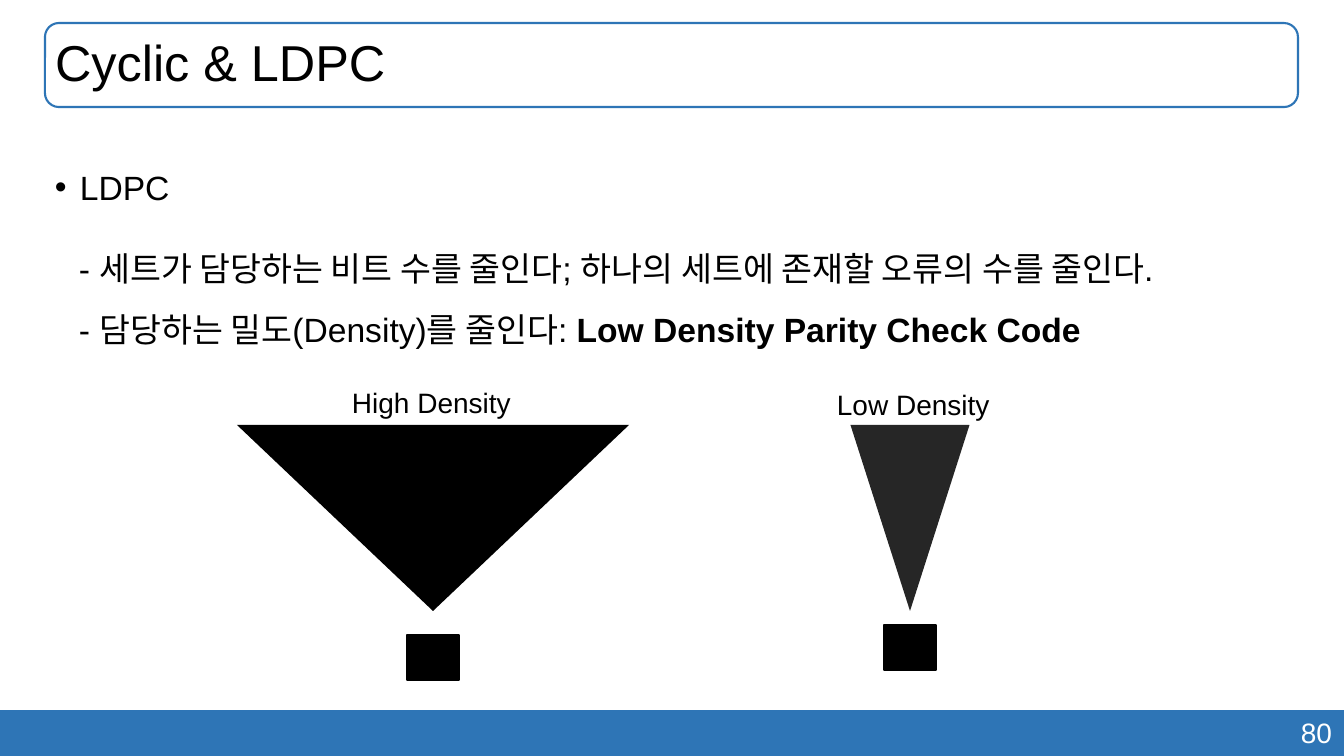
from lxml.etree import SubElement
from pptx import Presentation
from pptx.dml.color import RGBColor
from pptx.enum.shapes import MSO_SHAPE
from pptx.enum.text import MSO_ANCHOR, MSO_AUTO_SIZE, PP_ALIGN
from pptx.oxml.ns import qn
from pptx.util import Pt

SCALE = 12192000 / 1344
BLUE, BLACK, GRAY, WHITE = "2E75B6", "000000", "262626", "FFFFFF"


def px(n):
    return round(n * SCALE)


def color(code):
    return RGBColor.from_string(code)


class Deck:
    font = "Arial"

    def __init__(self):
        self.prs = Presentation()
        self.prs.slide_width, self.prs.slide_height = px(1344), px(756)
        self.slide = self.prs.slides.add_slide(self.prs.slide_layouts[5])

    def style(self, para, size, code=BLACK, align=PP_ALIGN.LEFT, gap=1.0):
        para.alignment, para.line_spacing = align, gap
        font = para.font
        font.name, font.size = self.font, Pt(size)
        font.color.rgb = color(code)

    def title(self, text, box):
        head = self.slide.shapes.title
        head.left, head.top, head.width, head.height = map(px, box)
        frame = head.text_frame
        frame.text = text
        frame.vertical_anchor = MSO_ANCHOR.MIDDLE
        frame.auto_size = MSO_AUTO_SIZE.NONE
        self.style(frame.paragraphs[0], 36, gap=0.9)

    def shape(self, kind, box, fill=None, line=None, width=1, turn=0):
        item = self.slide.shapes.add_shape(kind, *map(px, box))
        item.shadow.inherit = False
        item.rotation = turn
        if fill:
            item.fill.solid()
            item.fill.fore_color.rgb = color(fill)
        else:
            item.fill.background()
        if line:
            item.line.color.rgb = color(line)
            item.line.width = Pt(width)
        else:
            item.line.fill.background()

    def text(self, lines, box, size, wrap=False, bullet=None, **look):
        """Each line is a list of (words, bold) runs."""
        frame = self.slide.shapes.add_textbox(*map(px, box)).text_frame
        frame.word_wrap = wrap
        for i, runs in enumerate(lines):
            para = frame.add_paragraph() if i else frame.paragraphs[0]
            for words, bold in runs:
                run = para.add_run()
                run.text = words
                if bold:
                    run.font.bold = True
            if bullet:
                props = para._p.get_or_add_pPr()
                props.set("marL", str(px(25)))
                props.set("indent", str(px(-25)))
                SubElement(props, qn("a:buFont"), typeface=self.font)
                SubElement(props, qn("a:buChar"), char=bullet)
            self.style(para, size, **look)


def main():
    deck = Deck()
    head = (45, 23, 1253, 84)
    deck.shape(MSO_SHAPE.RECTANGLE, (0, 710, 1344, 46), BLUE)
    deck.text([[("80", False)]], (949, 711, 393, 44), 20, wrap=True,
              code=WHITE, align=PP_ALIGN.RIGHT)
    deck.shape(MSO_SHAPE.ROUNDED_RECTANGLE, head, line=BLUE, width=1.5)
    deck.title("Cyclic & LDPC", head)

    deck.text([[("LDPC", False)]], (45, 142, 1231, 70), 24, wrap=True,
              bullet="•", gap=1.5)
    deck.text([
        [("- 세트가 담당하는 비트 수를 줄인다; "
          "하나의 세트에 존재할 오류의 수를 줄인다.", False)],
        [("- 담당하는 밀도(Density)를 줄인다: ", False),
         ("Low Density Parity Check Code", True)],
    ], (69, 223, 1206, 125), 24, gap=1.5)

    for label, left, top, mid, width, fill, base in (
            ("High Density", 342, 381, 433, 392, BLACK, 635),
            ("Low Density", 827, 383, 910, 119, GRAY, 625)):
        deck.shape(MSO_SHAPE.ISOSCELES_TRIANGLE,
                   (mid - width / 2, 425, width, 186), fill, turn=180)
        deck.shape(MSO_SHAPE.RECTANGLE, (mid - 26, base, 52, 45),
                   BLACK, BLACK)
        deck.text([[(label, False)]], (left, top, 180, 44), 20)

    deck.prs.save("out.pptx")


if __name__ == "__main__":
    main()
